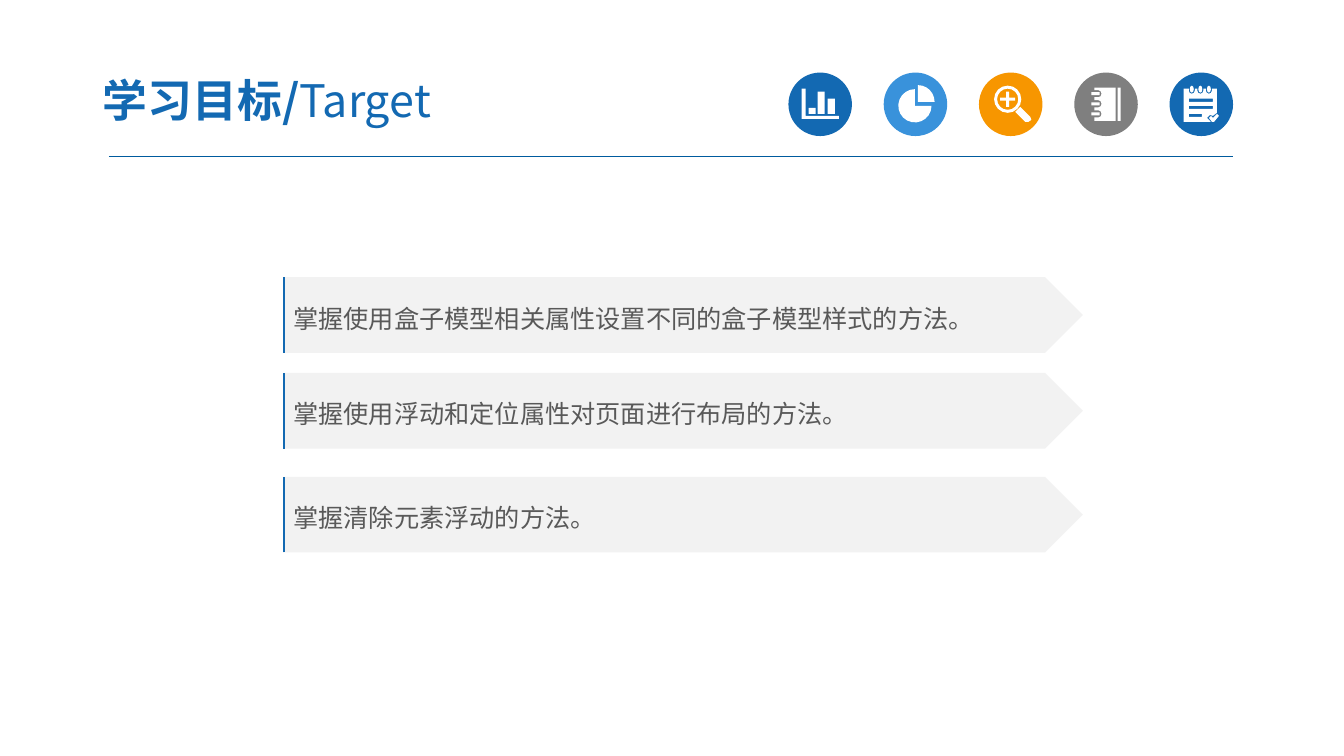
from dataclasses import dataclass
from math import cos, radians, sin

from lxml.etree import SubElement
from pptx import Presentation
from pptx.dml.color import RGBColor
from pptx.enum.shapes import MSO_CONNECTOR, MSO_SHAPE
from pptx.enum.text import MSO_ANCHOR, MSO_AUTO_SIZE, PP_ALIGN
from pptx.oxml.ns import qn
from pptx.util import Inches, Pt


@dataclass(frozen=True)
class Theme:
    font: str = "Noto Sans CJK SC"
    blue: str = "1369B2"
    sky: str = "3992DB"
    orange: str = "F79600"
    gray: str = "7F7F7F"
    rule: str = "005B9E"
    panel: str = "F2F2F2"
    text: str = "595959"
    white: str = "FFFFFF"
    title_size: int = 32
    goal_size: int = 18


THEME = Theme()

prs = Presentation()
prs.slide_width, prs.slide_height = Inches(13.33), Inches(7.5)
slide = prs.slides.add_slide(prs.slide_layouts[5])
shapes = slide.shapes


def arc(x, y, rx, ry, start=0, stop=360, steps=16):
    """Return points along an ellipse, clockwise from the right, in degrees."""
    angles = [radians(start + (stop - start) * n / steps) for n in range(steps + 1)]
    return [(x + rx * cos(angle), y + ry * sin(angle)) for angle in angles]


def add_run(paragraph, text, color, **font_format):
    """Add a run whose Latin and East Asian glyphs share the theme font."""
    run = paragraph.add_run()
    run.text = text
    run.font.color.rgb = RGBColor.from_string(color)
    for name, value in {"name": THEME.font, **font_format}.items():
        setattr(run.font, name, value)
    SubElement(run._r.get_or_add_rPr(), qn("a:ea"), typeface=THEME.font)


# Title
title = shapes.title
title.left, title.top, title.width, title.height = map(Inches, (0.89, 0.63, 5.22, 0.72))
title_format = {
    "margin_left": Inches(0.13), "margin_right": Inches(0.13),
    "margin_top": Inches(0.07), "margin_bottom": Inches(0.07),
    "vertical_anchor": MSO_ANCHOR.MIDDLE, "auto_size": MSO_AUTO_SIZE.NONE,
    "word_wrap": True,
}
for name, value in title_format.items():
    setattr(title.text_frame, name, value)
heading = title.text_frame.paragraphs[0]
heading.alignment = PP_ALIGN.LEFT
for words, bold in (("学习目标/", True), ("Target", False)):
    add_run(heading, words, THEME.blue, size=Pt(THEME.title_size), bold=bold)

# Header rule
header_rule = shapes.add_connector(
    MSO_CONNECTOR.STRAIGHT, *map(Inches, (1.08, 1.55, 12.23, 1.55))
)
header_rule.line.color.rgb = RGBColor.from_string(THEME.rule)
header_rule.line.width = Pt(0.75)
SubElement(header_rule._element.spPr, qn("a:effectLst"))

# Icon glyphs: boxes and outlines, measured in inches from the corner of the disc.
# An outline inside another one is a hole.
chart_boxes = [
    (0.13, 0.16, 0.04, 0.30), (0.17, 0.43, 0.33, 0.03),
    (0.20, 0.35, 0.07, 0.06), (0.29, 0.19, 0.07, 0.22), (0.39, 0.26, 0.07, 0.15),
]
pie_outlines = [
    arc(0.31, 0.33, 0.165, 0.165, 0, 270) + [(0.31, 0.33)],
    arc(0.34, 0.29, 0.165, 0.165, 270, 360, 6) + [(0.34, 0.29)],
]
plus_boxes = [(0.21, 0.25, 0.15, 0.03), (0.27, 0.19, 0.03, 0.06), (0.27, 0.28, 0.03, 0.06)]
lens_outlines = [
    arc(0.285, 0.265, 0.135, 0.135),
    arc(0.285, 0.265, 0.105, 0.105),
    [(0.36, 0.39), (0.41, 0.34), (0.51, 0.44), (0.52, 0.47), (0.49, 0.49), (0.46, 0.49)],
]

notebook_boxes = [(0.43, 0.15, 0.03, 0.33)]
cover = [(0.20, 0.15), (0.41, 0.15), (0.41, 0.48), (0.20, 0.48)]
for ring in (0.41, 0.31, 0.21):
    cover += arc(0.24, ring, 0.03, 0.035, 90, -90, 4)
    cover.insert(-5, (0.20, ring + 0.035))
    cover.append((0.20, ring - 0.035))
    notebook_boxes.append((0.17, ring - 0.015, 0.08, 0.03))

notepad_boxes = [(0.19, 0.26, 0.24, 0.03), (0.19, 0.33, 0.24, 0.03), (0.19, 0.41, 0.13, 0.03)]
paper = [(0.14, 0.16)]
notepad_outlines = [paper]
for ring in (0.22, 0.305, 0.39):
    paper += [(ring - 0.03, 0.16), *arc(ring, 0.18, 0.03, 0.03, 180, 0, 4), (ring + 0.03, 0.16)]
    notepad_outlines.append(arc(ring, 0.165, 0.02, 0.035, steps=8))
paper += [
    (0.47, 0.16), (0.47, 0.40), (0.43, 0.43), (0.40, 0.42), (0.37, 0.45),
    (0.41, 0.49), (0.14, 0.49),
]
notepad_outlines.append([
    (0.39, 0.45), (0.41, 0.43), (0.43, 0.45), (0.47, 0.41), (0.49, 0.43),
    (0.44, 0.49), (0.42, 0.49),
])

icons = [
    (THEME.blue, chart_boxes, []),
    (THEME.sky, [], pie_outlines),
    (THEME.orange, plus_boxes, lens_outlines),
    (THEME.gray, notebook_boxes, [cover]),
    (THEME.blue, notepad_boxes, notepad_outlines),
]
ICON_LEFT, ICON_TOP, ICON_SIZE = 7.82, 0.72, 0.63
ICON_STEP = (11.6 - ICON_LEFT) / (len(icons) - 1)
fills = []
for position, (disc_color, boxes, outlines) in enumerate(icons):
    disc_left = ICON_LEFT + position * ICON_STEP
    disc = shapes.add_shape(
        MSO_SHAPE.OVAL, *map(Inches, (disc_left, ICON_TOP, ICON_SIZE, ICON_SIZE))
    )
    corners = [
        [(x, y), (x + width, y), (x + width, y + height), (x, y + height)]
        for x, y, width, height in boxes
    ]
    pen = None
    for outline in outlines + corners:
        points = [(Inches(disc_left + x), Inches(ICON_TOP + y)) for x, y in outline]
        if pen is None:
            pen = shapes.build_freeform(*points[0])
        else:
            pen.move_to(*points[0])
        pen.add_line_segments(points[1:], close=True)
    fills += [(disc, disc_color), (pen.convert_to_shape(), THEME.white)]

# Learning goals, each with an accent line at its left
GOAL_HEIGHT, ACCENT_LEFT = 0.75, 2.82
goals = [
    (2.75, "掌握使用盒子模型相关属性设置不同的盒子模型样式的方法。"),
    (3.70, "掌握使用浮动和定位属性对页面进行布局的方法。"),
    (4.73, "掌握清除元素浮动的方法。"),
]
for goal_top, goal in goals:
    banner = shapes.add_shape(
        MSO_SHAPE.PENTAGON, *map(Inches, (2.81, goal_top, 7.93, GOAL_HEIGHT))
    )
    fills.append((banner, THEME.panel))
    banner.text_frame.word_wrap = True
    banner.text_frame.vertical_anchor = MSO_ANCHOR.MIDDLE
    sentence = banner.text_frame.paragraphs[0]
    sentence.alignment = PP_ALIGN.LEFT
    sentence.line_spacing = 1.2
    add_run(sentence, goal, THEME.text, size=Pt(THEME.goal_size))

    pen = shapes.build_freeform(Inches(ACCENT_LEFT), Inches(goal_top + GOAL_HEIGHT))
    pen.add_line_segments([(Inches(ACCENT_LEFT), Inches(goal_top))], close=False)
    pen.move_to(Inches(ACCENT_LEFT + 0.12), Inches(goal_top))
    accent = pen.convert_to_shape()
    accent.shadow.inherit = False
    accent.fill.background()
    accent.line.color.rgb = RGBColor.from_string(THEME.blue)
    accent.line.width = Pt(1.5)

for filled, color in fills:
    filled.shadow.inherit = False
    filled.fill.solid()
    filled.fill.fore_color.rgb = RGBColor.from_string(color)
    filled.line.fill.background()

prs.save("out.pptx")
